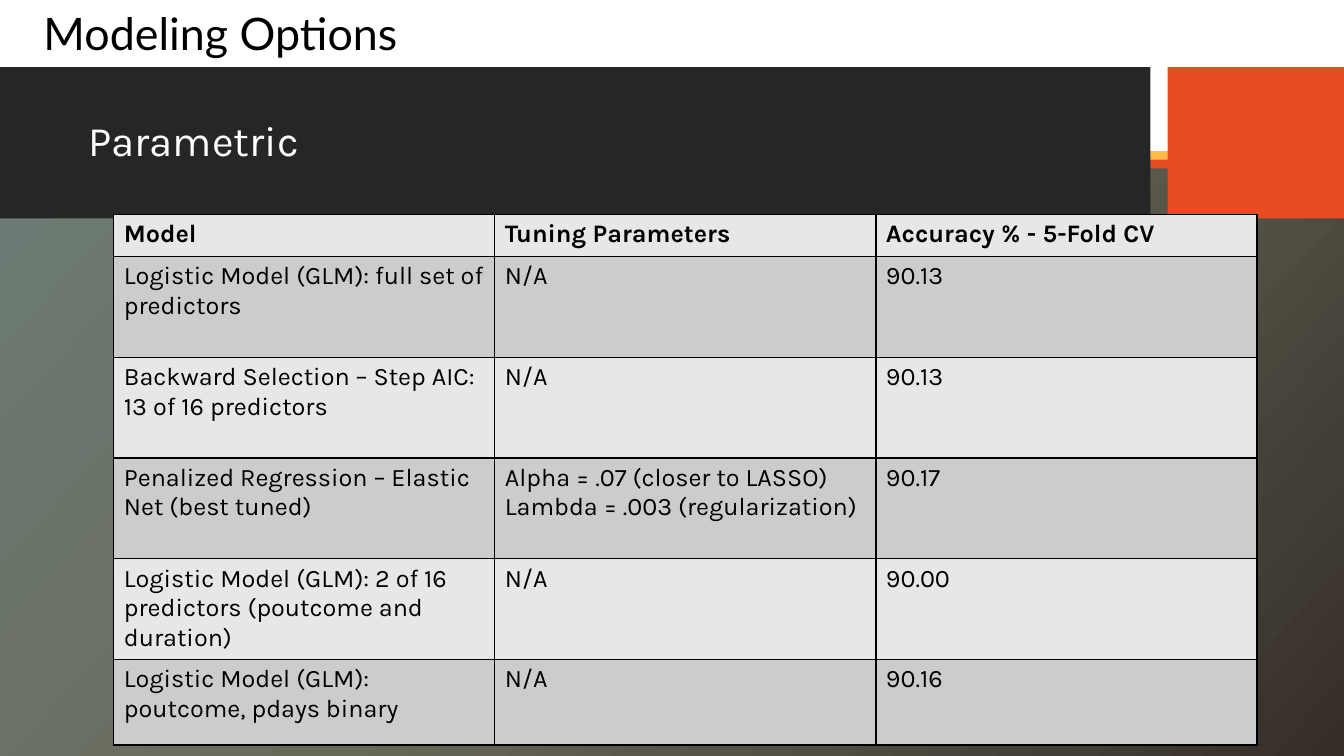
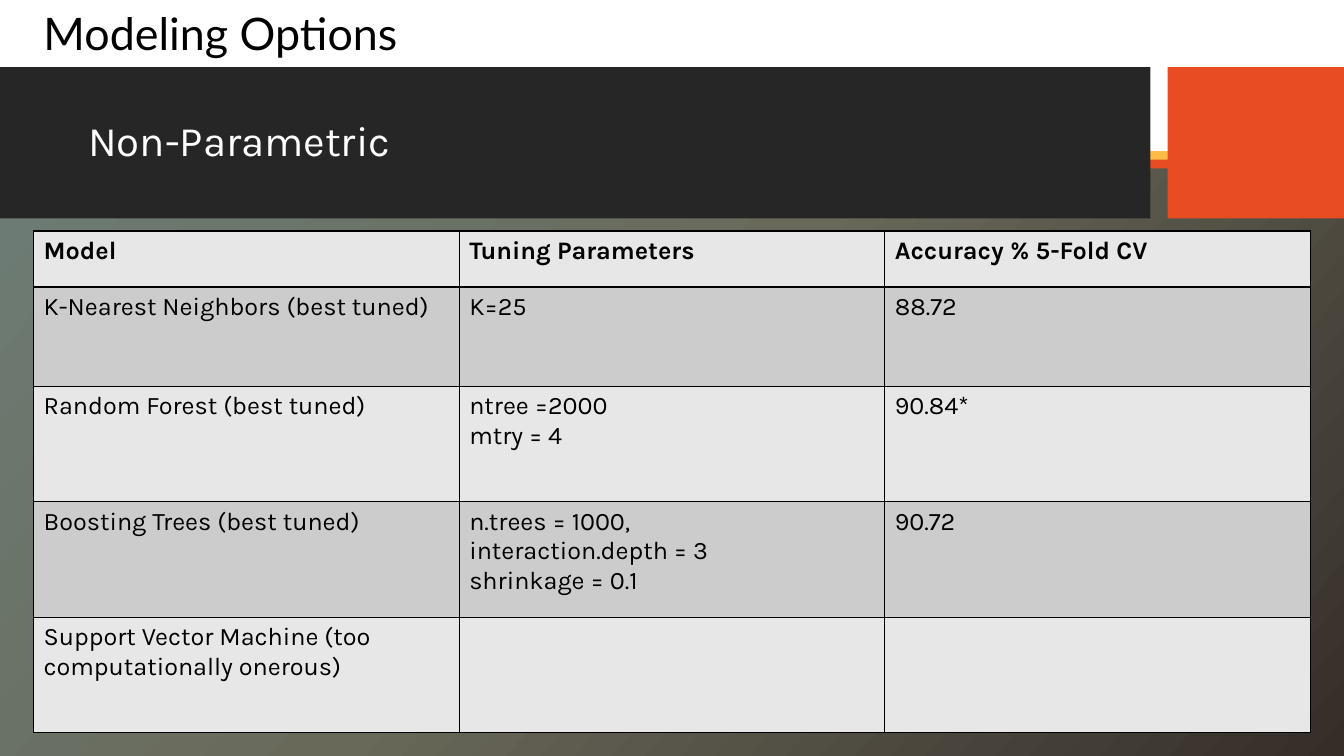
from lxml import etree
from pptx import Presentation
from pptx.dml.color import RGBColor
from pptx.enum import shapes, text
from pptx.oxml import ns
from pptx.util import Pt

BLACK = RGBColor(0x00, 0x00, 0x00)
WHITE = RGBColor(0xFF, 0xFF, 0xFF)
CHARCOAL = RGBColor(0x26, 0x26, 0x26)
ORANGE = RGBColor(0xE8, 0x4C, 0x22)
YELLOW = RGBColor(0xFF, 0xBD, 0x47)
LIGHT_ROW = RGBColor(0xE7, 0xE7, 0xE7)
DARK_ROW = RGBColor(0xCC, 0xCC, 0xCC)
BACKDROP = [(0, RGBColor(0x6D, 0x80, 0x7A)),
            (50, RGBColor(0x69, 0x69, 0x5A)),
            (100, RGBColor(0x35, 0x2E, 0x28))]

SLIDE_W, SLIDE_H = 960, 540
BANDS = [
    (0, 0, SLIDE_W, 108, WHITE),
    (0, 108, SLIDE_W, 6.2, YELLOW),
    (0, 114, SLIDE_W, 6.2, ORANGE),
    (0, 48, 821.8, 108, CHARCOAL),
    (834, 48, 126, 108, ORANGE),
]

PARAMETRIC = [
    ("Model", "Tuning Parameters", "Accuracy % - 5-Fold CV"),
    ("Logistic Model (GLM): full set of predictors", "N/A", "90.13"),
    ("Backward Selection – Step AIC: 13 of 16 predictors", "N/A", "90.13"),
    ("Penalized Regression – Elastic Net (best tuned)",
     "Alpha = .07 (closer to LASSO)\nLambda = .003 (regularization)", "90.17"),
    ("Logistic Model (GLM): 2 of 16 predictors (poutcome and duration)",
     "N/A", "90.00"),
    ("Logistic Model (GLM): poutcome, pdays binary", "N/A", "90.16"),
]
NON_PARAMETRIC = [
    ("Model", "Tuning Parameters", "Accuracy % 5-Fold CV"),
    ("K-Nearest Neighbors (best tuned)", "K=25", "88.72"),
    ("Random Forest (best tuned)", "ntree =2000\nmtry = 4", "90.84*"),
    ("Boosting Trees (best tuned)",
     "n.trees = 1000,\vinteraction.depth = 3\nshrinkage = 0.1", "90.72"),
    ("Support Vector Machine (too computationally onerous)", "", ""),
]


def write_text(tf, content, font="Karla", size=18, color=BLACK, bold=False,
               spacing=None):
    """Fill a text frame; \\n starts a paragraph and \\v breaks a line."""
    tf.word_wrap = True
    tf.text = content
    for p in tf.paragraphs:
        p.line_spacing = spacing
        for r in p.runs:
            r.font.name, r.font.size, r.font.bold = font, Pt(size), bold
            r.font.color.rgb = color


def add_borders(cell, color=BLACK, width=1):
    tc_pr = cell._tc.get_or_add_tcPr()
    for i, side in enumerate(("lnL", "lnR", "lnT", "lnB")):
        ln = etree.Element(ns.qn(f"a:{side}"), w=str(Pt(width)))
        fill = etree.SubElement(ln, ns.qn("a:solidFill"))
        etree.SubElement(fill, ns.qn("a:srgbClr"), val=str(color))
        tc_pr.insert(i, ln)


class Deck:
    def __init__(self):
        self.prs = Presentation()
        self.prs.slide_width, self.prs.slide_height = Pt(SLIDE_W), Pt(SLIDE_H)
        self.slide = None
        self.set_backdrop()

    def set_backdrop(self):
        master = self.prs.slide_master
        fill = master.background.fill
        fill.gradient()
        fill.gradient_angle = 360 - 42
        stops = master.element.find(".//" + ns.qn("a:gsLst"))
        for gs in list(stops):
            stops.remove(gs)
        for percent, color in BACKDROP:
            gs = etree.SubElement(stops, ns.qn("a:gs"), pos=str(percent * 1000))
            etree.SubElement(gs, ns.qn("a:srgbClr"), val=str(color))

    def add_slide(self, title, heading):
        self.slide = self.prs.slides.add_slide(self.prs.slide_layouts[6])
        for band in BANDS:
            self.add_band(*band)
        self.add_text(title, 24, -17, 693, 85, font="Lato", size=32,
                      spacing=0.9, anchor=text.MSO_ANCHOR.MIDDLE)
        self.add_text(heading, 56, 78.5, 316, 44, size=30, color=WHITE)

    def add_band(self, x, y, w, h, color):
        sp = self.slide.shapes.add_shape(
            shapes.MSO_SHAPE.RECTANGLE, Pt(x), Pt(y), Pt(w), Pt(h))
        sp.shadow.inherit = False
        sp.fill.solid()
        sp.fill.fore_color.rgb = color
        sp.line.fill.background()

    def add_text(self, content, x, y, w, h, anchor=text.MSO_ANCHOR.TOP,
                 **style):
        sp = self.slide.shapes.add_textbox(Pt(x), Pt(y), Pt(w), Pt(h))
        sp.text_frame.vertical_anchor = anchor
        write_text(sp.text_frame, content, **style)

    def add_table(self, rows, x, y, col_width, heights):
        n_cols = len(rows[0])
        table = self.slide.shapes.add_table(
            len(rows), n_cols, Pt(x), Pt(y),
            Pt(col_width * n_cols), Pt(sum(heights))).table
        table.horz_banding = table.first_row = False
        for col in table.columns:
            col.width = Pt(col_width)
        for i, (values, height) in enumerate(zip(rows, heights)):
            table.rows[i].height = Pt(height)
            for cell, value in zip(table.rows[i].cells, values):
                write_text(cell.text_frame, value, bold=i == 0)
                cell.fill.solid()
                cell.fill.fore_color.rgb = DARK_ROW if i % 2 else LIGHT_ROW
                add_borders(cell)


def main():
    deck = Deck()
    deck.add_slide("Modeling Options", "Parametric")
    deck.add_table(PARAMETRIC, 81.3, 153.2, 272.2, [30] + [72] * 4 + [61])
    deck.add_slide("Modeling Options", "Non-Parametric")
    deck.add_table(NON_PARAMETRIC, 24, 165, 304, [40, 71] + [82.5] * 3)
    deck.prs.save("out.pptx")


if __name__ == "__main__":
    main()
